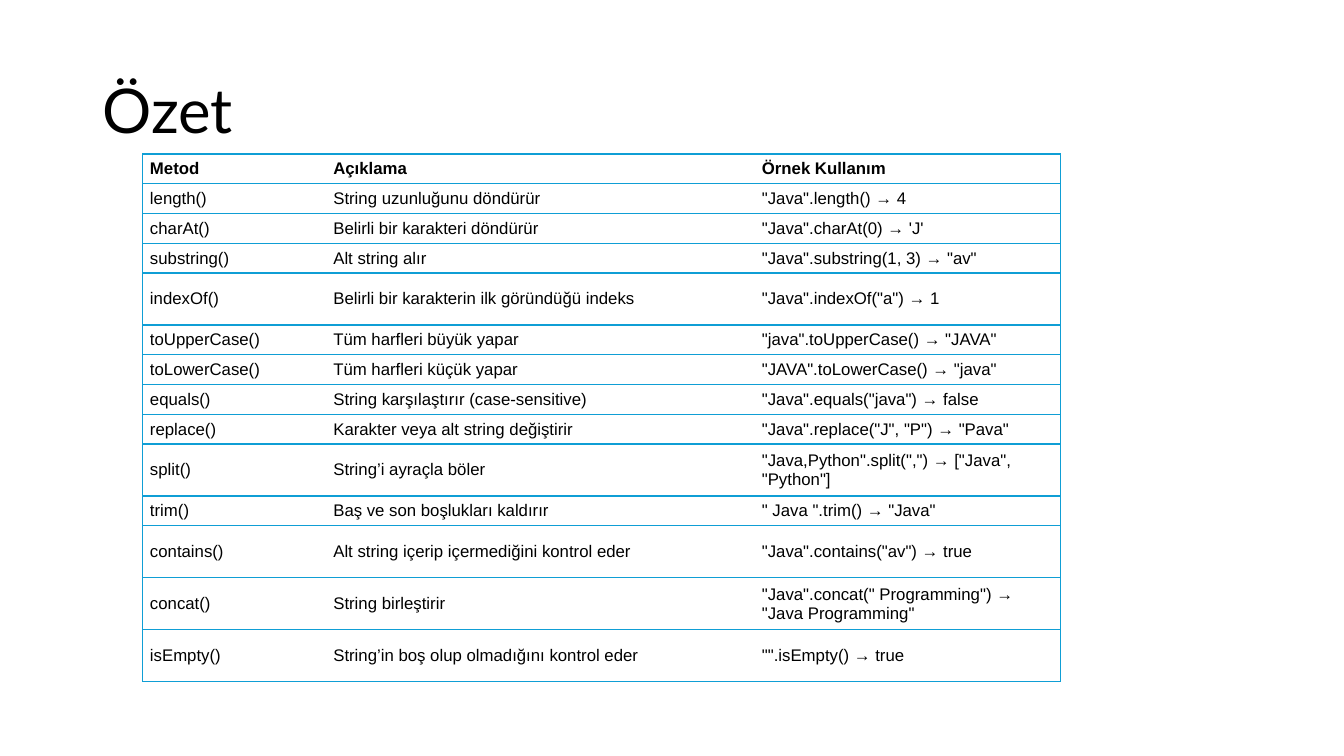
"""Build the summary slide of Java String methods."""
from dataclasses import dataclass

from lxml.etree import SubElement
from pptx import Presentation
from pptx.dml.color import RGBColor as Color
from pptx.enum.text import MSO_ANCHOR as Anchor, PP_ALIGN as Align
from pptx.oxml.ns import qn
from pptx.util import Cm, Pt

TITLE = "Özet"
HEADER = ("Metod", "Açıklama", "Örnek Kullanım")
METHODS = [
    ("length()", "String uzunluğunu döndürür", '"Java".length() → 4'),
    ("charAt()", "Belirli bir karakteri döndürür", "\"Java\".charAt(0) → 'J'"),
    ("substring()", "Alt string alır", '"Java".substring(1, 3) → "av"'),
    ("indexOf()", "Belirli bir karakterin ilk göründüğü indeks", '"Java".indexOf("a") → 1'),
    ("toUpperCase()", "Tüm harfleri büyük yapar", '"java".toUpperCase() → "JAVA"'),
    ("toLowerCase()", "Tüm harfleri küçük yapar", '"JAVA".toLowerCase() → "java"'),
    ("equals()", "String karşılaştırır (case-sensitive)", '"Java".equals("java") → false'),
    ("replace()", "Karakter veya alt string değiştirir", '"Java".replace("J", "P") → "Pava"'),
    ("split()", "String’i ayraçla böler", '"Java,Python".split(",") → ["Java", "Python"]'),
    ("trim()", "Baş ve son boşlukları kaldırır", '" Java ".trim() → "Java"'),
    ("contains()", "Alt string içerip içermediğini kontrol eder", '"Java".contains("av") → true'),
    ("concat()", "String birleştirir", '"Java".concat(" Programming") → "Java Programming"'),
    ("isEmpty()", "String’in boş olup olmadığını kontrol eder", '"".isEmpty() → true'),
]
TALL_METHODS = {"indexOf()", "split()", "contains()", "concat()", "isEmpty()"}
COLUMN_WIDTHS = (Cm(4.62), Cm(10.8), Cm(7.7))
ROW_HEIGHT, TALL_ROW_HEIGHT = Cm(0.75), Cm(1.31)


@dataclass(frozen=True)
class Theme:
    text: str = "000000"
    fill: str = "FFFFFF"
    border: str = "0F9ED5"
    border_width: int = Pt(1)
    title_font: str = "Lato"
    body_font: str = "Arial"
    title_size: int = 44
    body_size: int = 12


THEME = Theme()


def write_text(frame, text, font=THEME.body_font, size=THEME.body_size, bold=False, spacing=None):
    paragraph = frame.paragraphs[0]
    paragraph.alignment = Align.LEFT
    paragraph.line_spacing = spacing
    run = paragraph.add_run()
    run.text = text
    run.font.name, run.font.size, run.font.bold = font, Pt(size), bold
    run.font.color.rgb = Color.from_string(THEME.text)


def set_borders(cell, visible_sides):
    properties = cell._tc.get_or_add_tcPr()
    for side in "LRTB":
        line = SubElement(properties, qn(f"a:ln{side}"), w=str(THEME.border_width))
        if side in visible_sides:
            fill = SubElement(line, qn("a:solidFill"))
            SubElement(fill, qn("a:srgbClr"), val=THEME.border)
        else:
            SubElement(line, qn("a:noFill"))


def add_title(slide):
    title = slide.shapes.title
    title.left, title.top, title.width, title.height = Cm(2.33), Cm(1.01), Cm(29.21), Cm(3.68)
    title.text_frame.vertical_anchor = Anchor.MIDDLE
    write_text(title.text_frame, TITLE, font=THEME.title_font, size=THEME.title_size, spacing=0.9)


def add_method_table(slide):
    rows = [HEADER, *METHODS]
    heights = [TALL_ROW_HEIGHT if row[0] in TALL_METHODS else ROW_HEIGHT for row in rows]
    table = slide.shapes.add_table(
        len(rows), len(HEADER), Cm(3.6), Cm(3.88), sum(COLUMN_WIDTHS), sum(heights)
    ).table
    table.horz_banding = False
    for column, width in zip(table.columns, COLUMN_WIDTHS):
        column.width = width
    for row_index, (row, height) in enumerate(zip(rows, heights)):
        table.rows[row_index].height = height
        for column_index, text in enumerate(row):
            cell = table.cell(row_index, column_index)
            set_borders(cell, ("LTB", "TB", "RTB")[column_index])
            cell.fill.solid()
            cell.fill.fore_color.rgb = Color.from_string(THEME.fill)
            cell.vertical_anchor = Anchor.MIDDLE
            cell.margin_left = cell.margin_right = Cm(0.18)
            cell.margin_top = cell.margin_bottom = Cm(0.09)
            write_text(cell.text_frame, text, bold=row_index == 0)


def main():
    presentation = Presentation()
    presentation.slide_width, presentation.slide_height = Cm(33.87), Cm(19.05)
    slide = presentation.slides.add_slide(presentation.slide_layouts.get_by_name("Title Only"))
    add_title(slide)
    add_method_table(slide)
    presentation.save("out.pptx")


if __name__ == "__main__":
    main()
